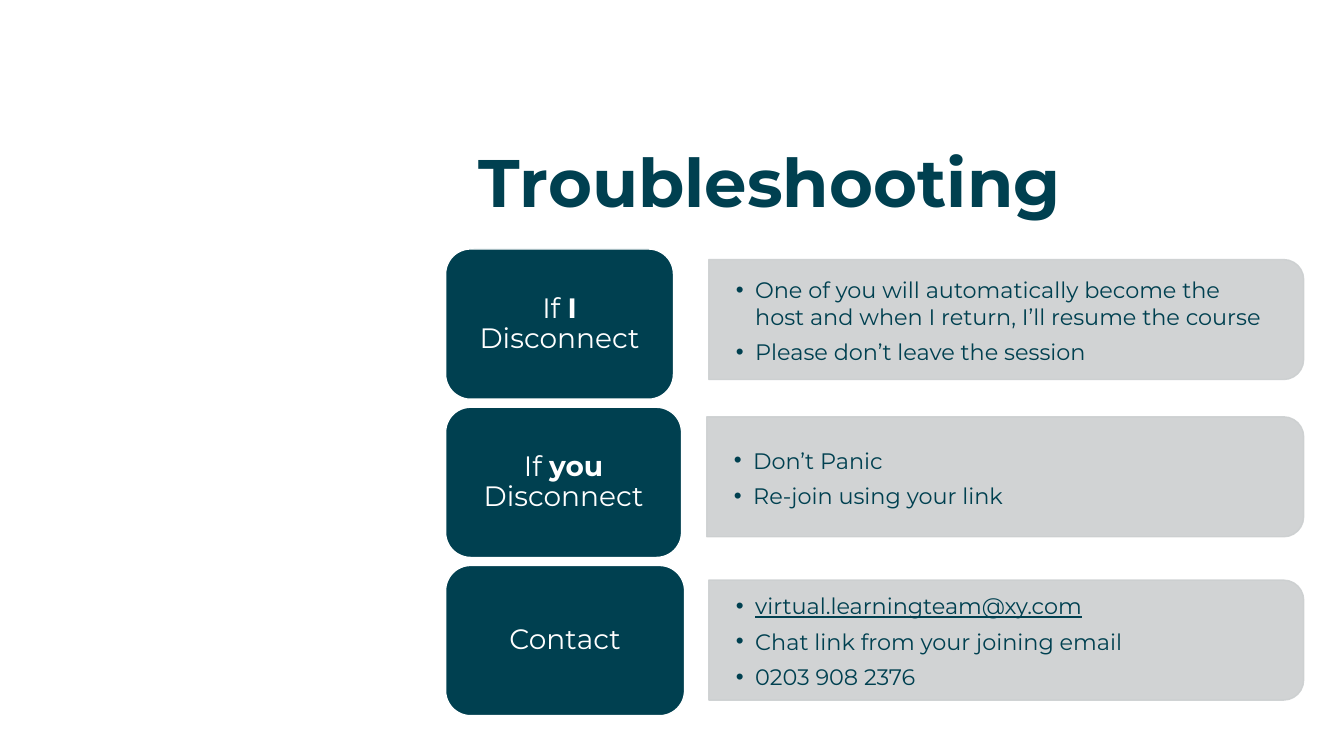
from pptx import Presentation
from pptx.dml.color import RGBColor
from pptx.enum.shapes import MSO_SHAPE
from pptx.enum.text import MSO_ANCHOR, MSO_AUTO_SIZE, PP_ALIGN
from pptx.oxml.ns import qn
from pptx.util import Inches, Pt
from lxml import etree

TEAL = RGBColor(0x00, 0x40, 0x50)
GREY = RGBColor(0xCC, 0xCF, 0xD0)
WHITE = RGBColor(0xFF, 0xFF, 0xFF)
FONT = "Montserrat"
ROUND, TAB = MSO_SHAPE.ROUNDED_RECTANGLE, MSO_SHAPE.ROUND_2_SAME_RECTANGLE
MIDDLE, LEFT, CENTER = MSO_ANCHOR.MIDDLE, PP_ALIGN.LEFT, PP_ALIGN.CENTER

# Grid: three rows, cards on the left and panels ending at a shared right edge
CARD_LEFT, CARD_TOP, CARD_H, ROW_STEP = 4.42, 2.47, 1.49, 1.57
PANEL_RIGHT, PANEL_H, TEXT_H = 12.93, 1.19, 1.08

# Card width, card runs (text, bold), panel width, panel centre, bullets (text, underline)
ROWS = [
    (2.26, [("If ", False), ("I", True), (" Disconnect", False)], 5.9, 3.17,
     [("One of you will automatically become the host and when I return, "
       "I’ll resume the course", False),
      ("Please don’t leave the session", False)]),
    (2.34, [("If ", False), ("you", True), (" Disconnect", False)], 5.92, 4.73,
     [("Don’t Panic", False), ("Re-join using your link", False)]),
    (2.37, [("Contact", False)], 5.9, 6.35,
     [("virtual.learningteam@xy.com", True),
      ("Chat link from your joining email", False),
      ("0203 908 2376", False)]),
]


def add_run(p, text, size=16, color=TEAL, bold=False, underline=False):
    r = p.add_run()
    r.text = text
    r.font.name, r.font.size = FONT, Pt(size)
    r.font.color.rgb = color
    r.font.bold, r.font.underline = bold, underline


def set_frame(tf, x_inset, y_inset):
    tf.word_wrap = True
    tf.auto_size = MSO_AUTO_SIZE.NONE
    tf.vertical_anchor = MIDDLE
    tf.margin_left = tf.margin_right = Inches(x_inset)
    tf.margin_top = tf.margin_bottom = Inches(y_inset)


prs = Presentation()
prs.slide_width, prs.slide_height = Inches(13.33), Inches(7.5)
s = prs.slides.add_slide(prs.slide_layouts[5])

# Title
title = s.shapes.title
title.left, title.top = Inches(4.65), Inches(1.5)
title.width, title.height = Inches(8.07), Inches(0.74)
set_frame(title.text_frame, 0.1, 0.05)
p = title.text_frame.paragraphs[0]
p.alignment, p.line_spacing = LEFT, 0.8
add_run(p, "Troubleshooting", size=48, bold=True)

for i, (card_w, runs, panel_w, center_y, bullets) in enumerate(ROWS):
    # Grey panel, turned so its rounded corners face right
    panel_left = PANEL_RIGHT - panel_w
    center_x = panel_left + panel_w / 2
    panel = s.shapes.add_shape(
        TAB, Inches(center_x - PANEL_H / 2), Inches(center_y - panel_w / 2),
        Inches(PANEL_H), Inches(panel_w))
    panel.rotation = 90
    panel.shadow.inherit = False
    panel.fill.solid()
    panel.fill.fore_color.rgb = GREY
    panel.line.color.rgb = GREY
    panel.line.width = Pt(1)
    for clr in panel.element.spPr.iter(qn("a:srgbClr")):
        etree.SubElement(clr, qn("a:alpha"), val="90000")

    # Bulleted text on the panel
    box = s.shapes.add_textbox(Inches(panel_left), Inches(center_y + 0.01 - TEXT_H / 2),
                               Inches(panel_w - 0.06), Inches(TEXT_H))
    tf = box.text_frame
    set_frame(tf, 0.27, 0.14)
    for j, (text, underline) in enumerate(bullets):
        p = tf.add_paragraph() if j else tf.paragraphs[0]
        p.space_after = Pt(6)
        pPr = p._p.get_or_add_pPr()
        pPr.set("marL", str(Inches(0.19)))
        pPr.set("indent", str(-Inches(0.19)))
        buClr = etree.SubElement(pPr, qn("a:buClr"))
        etree.SubElement(buClr, qn("a:srgbClr"), val=str(TEAL))
        etree.SubElement(pPr, qn("a:buFont"), typeface="Arial")
        etree.SubElement(pPr, qn("a:buChar"), char="•")
        add_run(p, text, underline=underline)

    # Teal card
    card = s.shapes.add_shape(ROUND, Inches(CARD_LEFT), Inches(CARD_TOP + i * ROW_STEP),
                              Inches(card_w), Inches(CARD_H))
    card.shadow.inherit = False
    card.fill.solid()
    card.fill.fore_color.rgb = TEAL
    card.line.color.rgb = WHITE
    card.line.width = Pt(1)
    set_frame(card.text_frame, 0.08, 0.04)
    p = card.text_frame.paragraphs[0]
    p.alignment, p.line_spacing, p.space_after = CENTER, 0.9, Pt(7)
    for text, bold in runs:
        add_run(p, text, size=20, color=WHITE, bold=bold)

prs.save("out.pptx")
